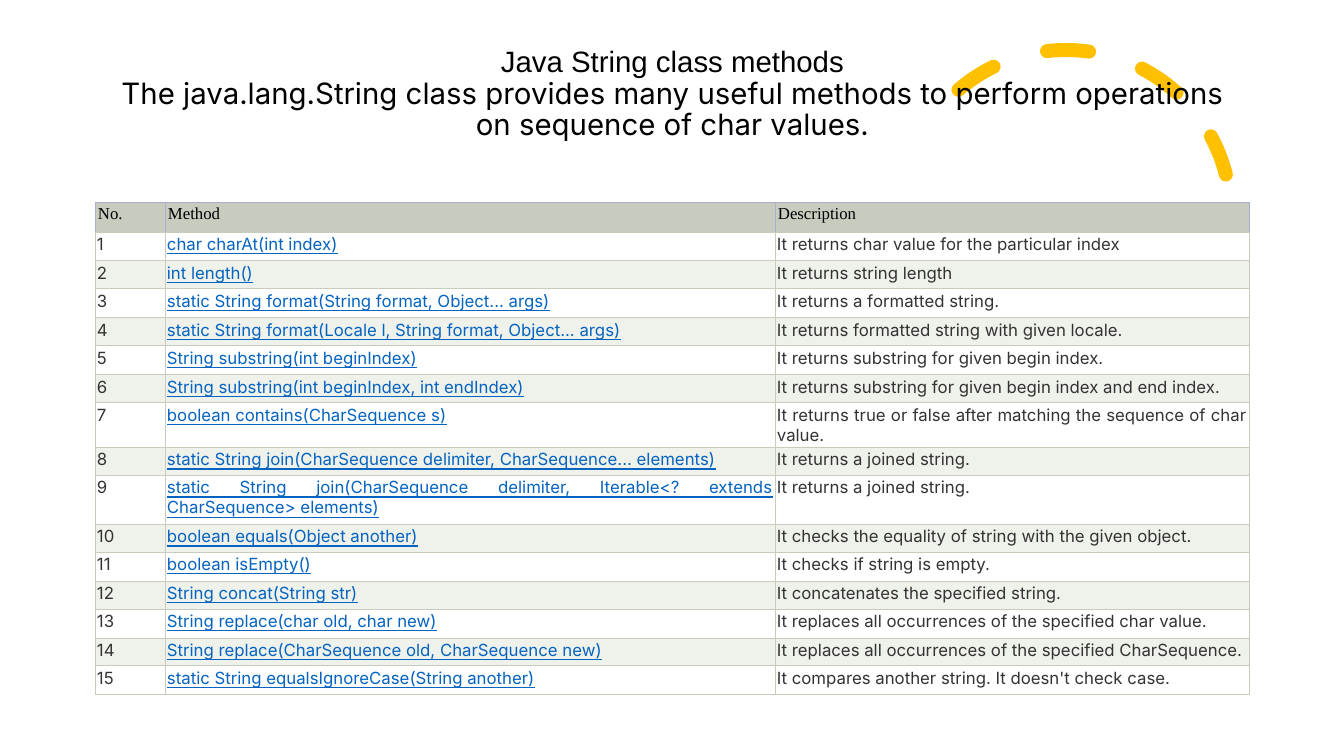
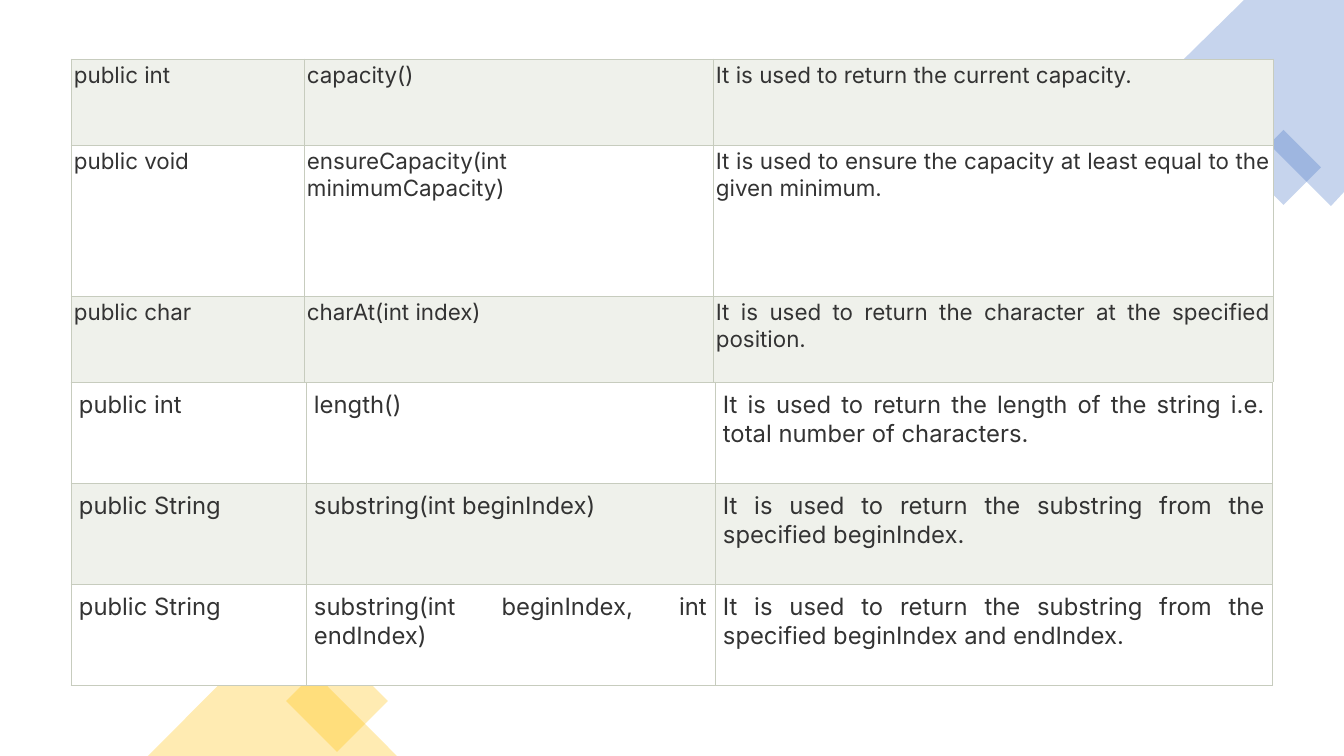
from dataclasses import dataclass

from lxml import etree
from pptx import Presentation
from pptx.dml.color import RGBColor
from pptx.enum.dml import MSO_LINE
from pptx.enum.shapes import MSO_SHAPE
from pptx.enum.text import PP_ALIGN
from pptx.oxml.ns import qn
from pptx.util import Pt

PAGE_WIDTH, PAGE_HEIGHT = 1344, 756
EMU_PER_PX = 914400 / 100.8
BLANK_LAYOUT = 6

BLACK = RGBColor(0x00, 0x00, 0x00)
WHITE = RGBColor(0xFF, 0xFF, 0xFF)
TEXT = RGBColor(0x33, 0x33, 0x33)
LINK = RGBColor(0x05, 0x63, 0xC1)
SAGE = RGBColor(0xC7, 0xCC, 0xBE)
PALE_SAGE = RGBColor(0xEF, 0xF1, 0xEB)
LAVENDER = RGBColor(0xA8, 0xAF, 0xD2)
BLUE = RGBColor(0x44, 0x72, 0xC4)
GOLD = RGBColor(0xFF, 0xC0, 0x00)

BODY_FONT, TITLE_FONT, HEADER_FONT = "Inter", "Arial", "Times New Roman"
LEFT, CENTER, JUSTIFY = PP_ALIGN.LEFT, PP_ALIGN.CENTER, PP_ALIGN.JUSTIFY
ARC, RECTANGLE, TRIANGLE = MSO_SHAPE.ARC, MSO_SHAPE.RECTANGLE, MSO_SHAPE.ISOSCELES_TRIANGLE
DASH = MSO_LINE.DASH

TITLE_LINES = [
    ("Java String class methods", TITLE_FONT),
    ("The java.lang.String class provides many useful methods to perform "
     "operations on sequence of char values.", BODY_FONT),
]
METHOD_HEADER = ("No.", "Method", "Description")
STRING_METHODS = [
    ("char charAt(int index)", "It returns char value for the particular index"),
    ("int length()", "It returns string length"),
    ("static String format(String format, Object... args)", "It returns a formatted string."),
    ("static String format(Locale l, String format, Object... args)",
     "It returns formatted string with given locale."),
    ("String substring(int beginIndex)", "It returns substring for given begin index."),
    ("String substring(int beginIndex, int endIndex)",
     "It returns substring for given begin index and end index."),
    ("boolean contains(CharSequence s)",
     "It returns true or false after matching the sequence of char value."),
    ("static String join(CharSequence delimiter, CharSequence... elements)",
     "It returns a joined string."),
    ("static String join(CharSequence delimiter, Iterable<? extends CharSequence> elements)",
     "It returns a joined string."),
    ("boolean equals(Object another)",
     "It checks the equality of string with the given object."),
    ("boolean isEmpty()", "It checks if string is empty."),
    ("String concat(String str)", "It concatenates the specified string."),
    ("String replace(char old, char new)",
     "It replaces all occurrences of the specified char value."),
    ("String replace(CharSequence old, CharSequence new)",
     "It replaces all occurrences of the specified CharSequence."),
    ("static String equalsIgnoreCase(String another)",
     "It compares another string. It doesn't check case."),
]
CAPACITY_ROWS = [
    ("public int", "capacity()", "It is used to return the current capacity."),
    ("public void", "ensureCapacity(int minimumCapacity)",
     "It is used to ensure the capacity at least equal to the given minimum."),
    ("public char", "charAt(int index)",
     "It is used to return the character at the specified position."),
]
SUBSTRING_ROWS = [
    ("public int", "length()",
     "It is used to return the length of the string i.e. total number of characters."),
    ("public String", "substring(int beginIndex)",
     "It is used to return the substring from the specified beginIndex."),
    ("public String", "substring(int beginIndex, int endIndex)",
     "It is used to return the substring from the specified beginIndex and endIndex."),
]


@dataclass
class CellStyle:
    size: int
    inset: int
    font: str = BODY_FONT
    color: RGBColor = TEXT
    align: PP_ALIGN = JUSTIFY
    underline: bool = False
    edge: RGBColor = SAGE


HEADER_STYLE = CellStyle(12, 3, HEADER_FONT, BLACK, LEFT, edge=LAVENDER)
METHOD_STYLE = CellStyle(12, 2)
LINK_STYLE = CellStyle(12, 2, color=LINK, underline=True)
CAPACITY_STYLE = CellStyle(16, 3)
SUBSTRING_STYLE = CellStyle(17, 8)


def px(length):
    return round(length * EMU_PER_PX)


def tint(shape, color, opacity=30):
    """Fill a borderless shape with a see-through colour, opacity in percent."""
    shape.shadow.inherit = False
    shape.line.fill.background()
    shape.fill.solid()
    shape.fill.fore_color.rgb = color
    rgb = shape._element.spPr.find(qn("a:solidFill")).find(qn("a:srgbClr"))
    etree.SubElement(rgb, qn("a:alpha"), val=str(opacity * 1000))


def add_tinted_shape(page, kind, left, top, width, height, color, rotation=0):
    shape = page.shapes.add_shape(kind, px(left), px(top), px(width), px(height))
    shape.rotation = rotation
    tint(shape, color)


def add_tinted_polygon(page, points, color):
    start, *others = [(px(x), px(y)) for x, y in points]
    builder = page.shapes.build_freeform(*start)
    builder.add_line_segments(others, close=True)
    tint(builder.convert_to_shape(), color)


def add_dashed_arc(page):
    arc = page.shapes.add_shape(ARC, px(901), px(50), px(330), px(330))
    arc.adjustments[0], arc.adjustments[1] = 146.13, 0
    arc.rotation = 345.8
    arc.shadow.inherit = False
    arc.fill.background()
    arc.line.color.rgb = GOLD
    arc.line.width = Pt(10)
    arc.line.dash_style = DASH
    arc._element.spPr.find(qn("a:ln")).set("cap", "rnd")


def add_title(page):
    box = page.shapes.add_textbox(px(93), px(40), px(1159), px(146))
    frame = box.text_frame
    frame.word_wrap = True
    frame.margin_top = px(7)
    for index, (text, font) in enumerate(TITLE_LINES):
        para = frame.paragraphs[0] if index == 0 else frame.add_paragraph()
        para.text = text
        para.alignment = CENTER
        para.line_spacing = 0.9
        para.font.name = font
        para.font.size = Pt(21)
        para.font.color.rgb = BLACK


def set_borders(cell, edge):
    """Draw the bottom border in sage and the other three in the edge colour."""
    properties = cell._tc.get_or_add_tcPr()
    for index, side in enumerate("LRTB"):
        line = etree.Element(qn(f"a:ln{side}"), w=str(Pt(0.75)))
        fill = etree.SubElement(line, qn("a:solidFill"))
        color = SAGE if side == "B" else edge
        etree.SubElement(fill, qn("a:srgbClr"), val=str(color))
        properties.insert(index, line)


def write_cell(cell, text, style, fill):
    cell.margin_left = cell.margin_right = px(style.inset)
    cell.margin_top = cell.margin_bottom = px(style.inset)
    cell.fill.solid()
    cell.fill.fore_color.rgb = fill
    set_borders(cell, style.edge)
    para = cell.text_frame.paragraphs[0]
    para.text = text
    para.alignment = style.align
    para.font.name = style.font
    para.font.size = Pt(style.size)
    para.font.bold = False
    para.font.underline = style.underline
    para.font.color.rgb = style.color


def add_grid(page, left, top, widths, heights, rows, styles, fills):
    """Add a table; styles(row) gives one style per column, fills one colour per row."""
    frame = page.shapes.add_table(len(rows), len(widths), px(left), px(top),
                                  px(sum(widths)), px(sum(heights)))
    table = frame.table
    table.first_row = table.horz_banding = False
    for column, width in zip(table.columns, widths):
        column.width = px(width)
    for index, (row, height) in enumerate(zip(table.rows, heights)):
        row.height = px(height)
        for cell, text, style in zip(row.cells, rows[index], styles(index)):
            write_cell(cell, text, style, fills[index])


def add_methods_page(page):
    add_dashed_arc(page)
    add_title(page)
    rows = [METHOD_HEADER]
    heights, fills = [30], [SAGE]
    for number, (method, description) in enumerate(STRING_METHODS, 1):
        rows.append((str(number), method, description))
        heights.append(49 if number == 9 else 28 + number % 2)
        fills.append(WHITE if number % 2 else PALE_SAGE)

    def styles(index):
        return (METHOD_STYLE, LINK_STYLE, METHOD_STYLE) if index else [HEADER_STYLE] * 3

    add_grid(page, 95, 202, (70, 610, 474), heights, rows, styles, fills)


def add_buffer_page(page):
    add_tinted_polygon(page, [(1344, 0), (1244, 0), (1184, 59), (1331, 206), (1344, 192)], BLUE)
    add_tinted_shape(page, RECTANGLE, 1257, 141, 53, 53, BLUE, 45)
    add_tinted_shape(page, RECTANGLE, 301, 665, 72, 72, GOLD, 45)
    add_tinted_shape(page, TRIANGLE, 148, 631, 249, 125, GOLD)
    add_grid(page, 71, 59, (233, 409, 560), (86, 151, 86), CAPACITY_ROWS,
             lambda index: [CAPACITY_STYLE] * 3, (PALE_SAGE, WHITE, PALE_SAGE))
    add_grid(page, 71, 382, (235, 409, 558), [101] * 3, SUBSTRING_ROWS,
             lambda index: [SUBSTRING_STYLE] * 3, (WHITE, PALE_SAGE, WHITE))


def main():
    deck = Presentation()
    deck.slide_width, deck.slide_height = px(PAGE_WIDTH), px(PAGE_HEIGHT)
    for build in (add_methods_page, add_buffer_page):
        build(deck.slides.add_slide(deck.slide_layouts[BLANK_LAYOUT]))
    deck.save("out.pptx")


if __name__ == "__main__":
    main()
